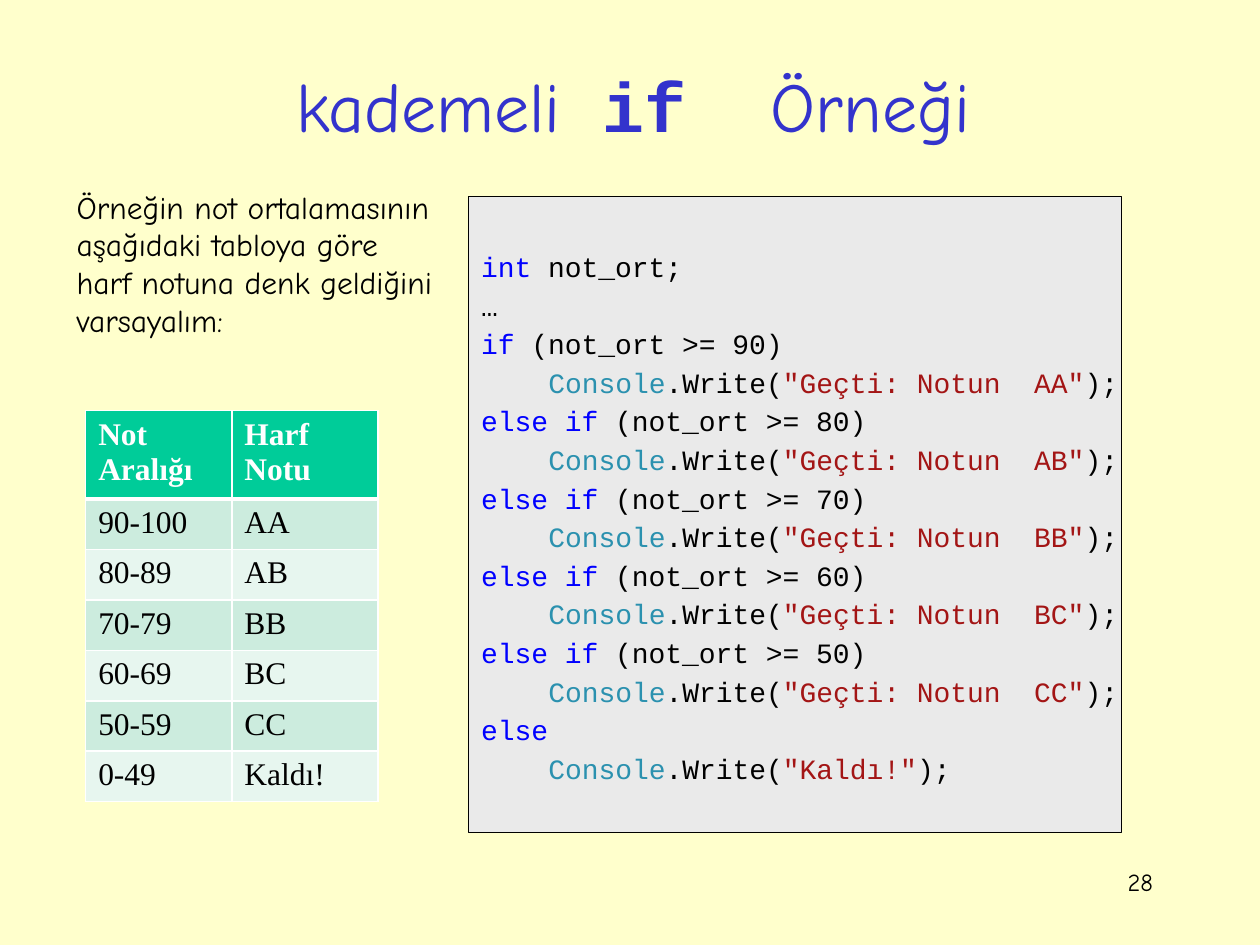
from dataclasses import dataclass

from lxml.etree import SubElement
from pptx import Presentation
from pptx.dml.color import RGBColor
from pptx.enum.shapes import MSO_SHAPE
from pptx.enum.text import MSO_ANCHOR, PP_ALIGN
from pptx.oxml.ns import qn
from pptx.util import Inches, Pt

COLORS = {
    "page": "FFFFCC", "title": "3333CC", "text": "000000", "white": "FFFFFF",
    "panel": "EAEAEA", "keyword": "0000FF", "type": "2B91AF", "string": "A31515",
    "header": "00CC99", "band_dark": "CCECDE", "band_light": "E7F6EF",
}
BODY_FONT, CODE_FONT, TABLE_FONT = "Comic Neue", "Courier New", "Times New Roman"
GRADES = [("90-100", "AA"), ("80-89", "AB"), ("70-79", "BB"),
          ("60-69", "BC"), ("50-59", "CC"), ("0-49", "Kaldı!")]


@dataclass
class Span:
    """A piece of code in one colour."""
    text: str
    color: str = "text"


@dataclass
class CodeLine:
    """One line of the code panel."""
    spans: list[Span]
    indented: bool = False


def rgb(name: str) -> RGBColor:
    """Look up a named colour."""
    return RGBColor.from_string(COLORS[name])


def set_font(font, name: str, size: float, color: str, bold: bool = False) -> None:
    """Format a paragraph or run font."""
    font.name, font.size, font.bold = name, Pt(size), bold
    font.color.rgb = rgb(color)


def add_text(page, place: tuple, text: str, size: float, align=PP_ALIGN.LEFT) -> None:
    """Add a wrapped one-paragraph text box."""
    box = page.shapes.add_textbox(*map(Inches, place))
    box.text_frame.word_wrap = True
    para = box.text_frame.paragraphs[0]
    para.text, para.alignment = text, align
    set_font(para.font, BODY_FONT, size, "text")


def add_title(page) -> None:
    """Fill the title placeholder, with the keyword in the code font."""
    title = page.shapes.title
    title.left, title.top, title.width, title.height = map(Inches, (0.72, 0.41, 8.61, 0.84))
    title.text_frame.vertical_anchor = MSO_ANCHOR.MIDDLE
    para = title.text_frame.paragraphs[0]
    para.alignment = PP_ALIGN.CENTER
    for text, font in (("kademeli", BODY_FONT), (" if  ", CODE_FONT), ("Örneği", BODY_FONT)):
        span = para.add_run()
        span.text = text
        set_font(span.font, font, 40, "title", font == CODE_FONT)


def write_line(message: str) -> CodeLine:
    """Make the indented line that prints a message."""
    return CodeLine([Span("Console", "type"), Span(".Write("),
                     Span(f'"{message}"', "string"), Span(");")], True)


def code_lines() -> list[CodeLine]:
    """Build the if ladder from the grade table."""
    lines = [CodeLine([Span("int ", "keyword"), Span("not_ort;")]), CodeLine([Span("…")])]
    for index, (marks, letter) in enumerate(GRADES[:-1]):
        keyword = "else if" if index else "if"
        lowest = marks.split("-")[0]
        lines.append(CodeLine([Span(keyword, "keyword"), Span(f" (not_ort >= {lowest})")]))
        lines.append(write_line(f"Geçti: Notun  {letter}"))
    return lines + [CodeLine([Span("else", "keyword")]), write_line(GRADES[-1][1])]


def add_code(page) -> None:
    """Draw the code panel."""
    panel = page.shapes.add_shape(MSO_SHAPE.RECTANGLE, *map(Inches, (3.72, 1.56, 5.18, 5.05)))
    panel.shadow.inherit = False
    panel.fill.solid()
    panel.fill.fore_color.rgb = rgb("panel")
    panel.line.color.rgb = rgb("text")
    panel.line.width = Pt(0.75)
    frame = panel.text_frame
    frame.word_wrap = False
    frame.vertical_anchor = MSO_ANCHOR.MIDDLE
    for index, line in enumerate(code_lines()):
        para = frame.add_paragraph() if index else frame.paragraphs[0]
        para.alignment, para.line_spacing = PP_ALIGN.LEFT, 1.15
        if line.indented:
            para._p.get_or_add_pPr().set("marL", str(Pt(38.4)))
        for part in line.spans:
            span = para.add_run()
            span.text = part.text
            set_font(span.font, CODE_FONT, 16, part.color)


def set_borders(cell, bottom: float) -> None:
    """Give a cell white borders, ahead of its fill."""
    properties = cell._tc.get_or_add_tcPr()
    for position, (side, width) in enumerate((("L", 1), ("R", 1), ("T", 1), ("B", bottom))):
        line = SubElement(properties, qn(f"a:ln{side}"), w=str(Pt(width)))
        fill = SubElement(line, qn("a:solidFill"))
        SubElement(fill, qn("a:srgbClr"), val=COLORS["white"])
        properties.insert(position, line)


def add_grades(page) -> None:
    """Draw the grade table with alternating bands."""
    rows = [("Not Aralığı", "Harf Notu")] + GRADES
    table = page.shapes.add_table(len(rows), 2, *map(Inches, (0.68, 3.26, 2.32, 3.1))).table
    for row_index, values in enumerate(rows):
        is_header = row_index == 0
        table.rows[row_index].height = Inches(0.7 if is_header else 0.4)
        band = "header" if is_header else "band_dark" if row_index % 2 else "band_light"
        for column_index, value in enumerate(values):
            cell = table.cell(row_index, column_index)
            cell.text = value
            set_font(cell.text_frame.paragraphs[0].font, TABLE_FONT, 18,
                     "white" if is_header else "text", is_header)
            cell.fill.solid()
            cell.fill.fore_color.rgb = rgb(band)
            set_borders(cell, 3 if is_header else 1)


def main() -> None:
    """Build and save the slide."""
    deck = Presentation()
    deck.slide_width, deck.slide_height = Inches(10), Inches(7.5)
    page = deck.slides.add_slide(deck.slide_layouts[5])
    page.background.fill.solid()
    page.background.fill.fore_color.rgb = rgb("page")
    add_text(page, (7.17, 6.83, 2.08, 0.5), "28", 14, PP_ALIGN.RIGHT)
    add_title(page)
    add_code(page)
    add_text(page, (0.51, 1.44, 3.05, 1.62),
             "Örneğin not ortalamasının aşağıdaki tabloya göre "
             "harf notuna denk geldiğini varsayalım:", 18)
    add_grades(page)
    deck.save("out.pptx")


main()
